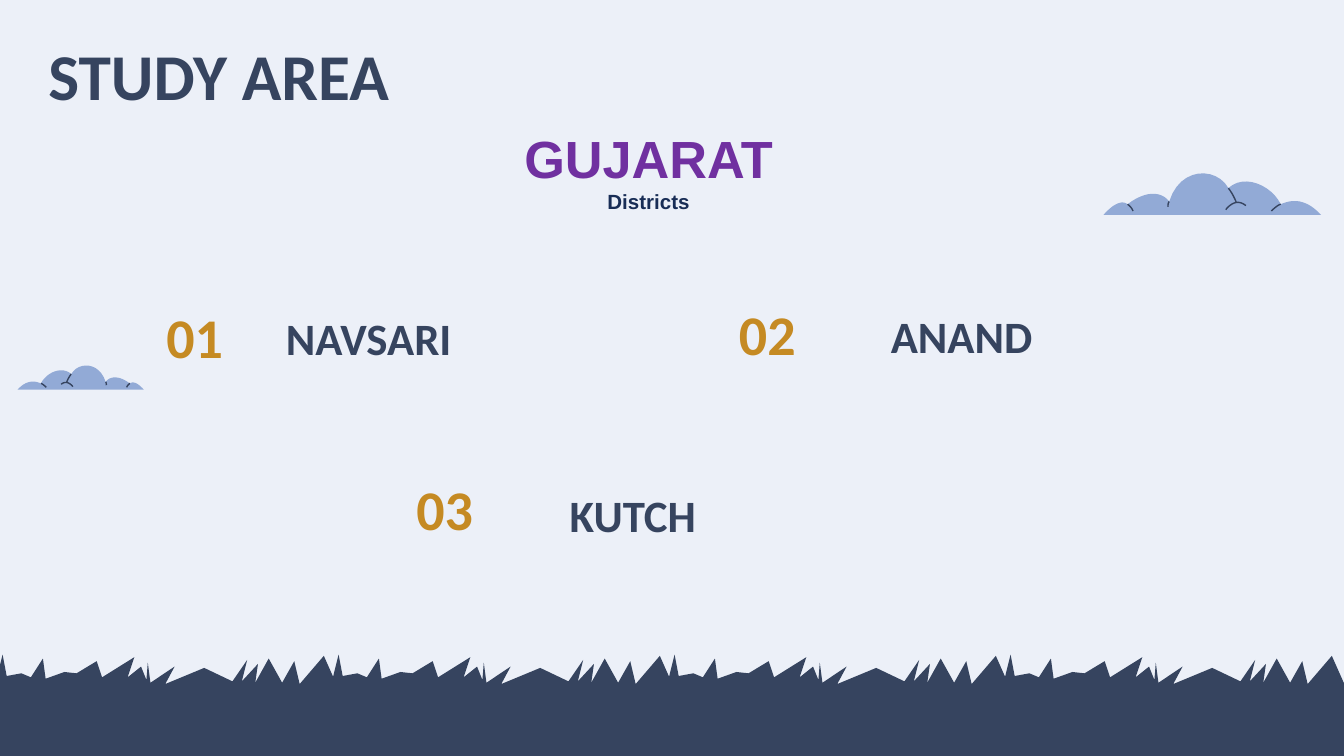
from pptx import Presentation
from pptx.dml.color import RGBColor
from pptx.enum.shapes import MSO_SHAPE
from pptx.enum.text import MSO_ANCHOR, PP_ALIGN
from pptx.util import Inches, Pt

RECTANGLE = MSO_SHAPE.RECTANGLE
TOP, BOTTOM = MSO_ANCHOR.TOP, MSO_ANCHOR.BOTTOM
LEFT, CENTER = PP_ALIGN.LEFT, PP_ALIGN.CENTER

SKY = RGBColor(0xEC, 0xF0, 0xF8)
SLATE = RGBColor(0x36, 0x44, 0x5F)
GOLD = RGBColor(0xC5, 0x8A, 0x23)
CLOUD_BLUE = RGBColor(0x92, 0xAA, 0xD6)
PURPLE = RGBColor(0x70, 0x30, 0xA0)
NAVY = RGBColor(0x18, 0x2D, 0x56)

# One tuft of grass, repeated along the ground
TUFT = [
    (-0.03, 5.07), (0.02, 4.87), (0.05, 5.03), (0.16, 5.01), (0.23, 5.04),
    (0.32, 4.9), (0.34, 5.05), (0.48, 5), (0.57, 5.01), (0.72, 4.92),
    (0.76, 5.04), (1, 4.89), (0.95, 5.04), (1.05, 4.96), (1.09, 5.06),
    (1.1, 4.93), (1.12, 5.08), (1.3, 4.96), (1.23, 5.09), (1.52, 4.97),
    (1.73, 5.07), (1.84, 4.91), (1.8, 5.07), (1.92, 4.94), (1.9, 5.08),
    (2, 4.9), (2.1, 5.08), (2.19, 4.92), (2.23, 5.09), (2.41, 4.88),
    (2.53, 5.15), (-0.03, 5.15),
]
TUFT_STEP = 2.5

# Bezier points, measured from the cloud's corner with y upwards
CLOUD = [
    (0, 0), (0.08, 0.09), (0.14, 0.11), (0.18, 0.08),
    (0.31, 0.18), (0.43, 0.18), (0.49, 0.1),
    (0.57, 0.36), (0.84, 0.36), (0.93, 0.2),
    (1.05, 0.31), (1.25, 0.22), (1.32, 0.08),
    (1.41, 0.12), (1.51, 0.12), (1.62, 0),
]
CREASES = [
    [(0.18, 0.08), (0.18, 0.08), (0.21, 0.06), (0.22, 0.03)],
    [(0.49, 0.1), (0.48, 0.09), (0.48, 0.07), (0.48, 0.06)],
    [(0.93, 0.2), (0.93, 0.2), (0.97, 0.15), (0.99, 0.09)],
    [(0.91, 0.04), (0.96, 0.1), (1.01, 0.11), (1.06, 0.07)],
    [(1.25, 0.03), (1.28, 0.06), (1.31, 0.08), (1.32, 0.08)],
]
CURVE_STEPS = 12


def flatten_curve(points):
    """Return points along a chain of cubic Bezier curves."""
    flat = [points[0]]
    for first in range(0, len(points) - 1, 3):
        a, b, c, d = points[first:first + 4]
        for step in range(1, CURVE_STEPS + 1):
            t = step / CURVE_STEPS
            u = 1 - t
            weights = (u**3, 3 * u * u * t, 3 * u * t * t, t**3)
            flat.append(tuple(
                sum(weight * value for weight, value in zip(weights, values))
                for values in zip(a, b, c, d)
            ))
    return flat


def add_outline(points, closed=True):
    points = [(Inches(x), Inches(y)) for x, y in points]
    builder = slide.shapes.build_freeform(*points[0])
    builder.add_line_segments(points[1:], close=closed)
    outline = builder.convert_to_shape()
    outline.shadow.inherit = False
    return outline


# A 16:9 page
deck = Presentation()
deck.slide_width = Inches(10)
deck.slide_height = deck.slide_width * 9 // 16
slide = deck.slides.add_slide(deck.slide_layouts[5])
slide.background.fill.solid()
slide.background.fill.fore_color.rgb = SKY

# Ground and grass
ground_top = Inches(5.12)
ground = slide.shapes.add_shape(
    RECTANGLE, 0, ground_top, deck.slide_width, deck.slide_height - ground_top)
ground.shadow.inherit = False
tufts = [add_outline([(x + TUFT_STEP * index, y) for x, y in TUFT])
         for index in range(4)]
for shape in [ground] + tufts:
    shape.fill.solid()
    shape.fill.fore_color.rgb = SLATE
    shape.line.fill.background()

# Clouds: corner, baseline, horizontal and vertical scale (the small one is mirrored)
for corner, base, scale_x, scale_y in [(8.21, 1.6, 1, 1), (1.07, 2.9, -0.58, 0.58)]:
    for points in [CLOUD] + CREASES:
        is_cloud = points is CLOUD
        outline = add_outline(
            [(corner + x * scale_x, base - y * scale_y)
             for x, y in flatten_curve(points)], closed=is_cloud)
        if is_cloud:
            outline.fill.solid()
            outline.fill.fore_color.rgb = CLOUD_BLUE
            outline.line.fill.background()
        else:
            outline.fill.background()
            outline.line.color.rgb = SLATE
            outline.line.width = Pt(0.75)

# Title, numbers and districts: text, left, top, width, height, size, colour, line spacing
labels = [("STUDY AREA", 0.26, 0.16, 8.43, 0.7, 35, SLATE, 1)]
for number, number_left, number_top, district, left, top in [
    ("01", 1.14, 2.25, "NAVSARI", 2.03, 2.21),
    ("02", 5.4, 2.23, "ANAND", 6.53, 2.2),
    ("03", 3, 3.53, "KUTCH", 4.14, 3.53),
]:
    labels.append((number, number_left, number_top, 0.8, 0.6, 30, GOLD, 1))
    labels.append((district, left, top, 3.3, 0.6, 24, SLATE, 1.15))

for text, left, top, width, height, size, color, spacing in labels:
    place = [Inches(length) for length in (left, top, width, height)]
    is_title = text == "STUDY AREA"
    if is_title:
        box = slide.shapes.title
        box.left, box.top, box.width, box.height = place
    else:
        box = slide.shapes.add_textbox(*place)
    frame = box.text_frame
    frame.text = text
    frame.word_wrap = True
    frame.vertical_anchor = TOP if is_title else BOTTOM
    frame.margin_left = frame.margin_right = Inches(0.1)
    frame.margin_top = frame.margin_bottom = Inches(0.1)
    para = frame.paragraphs[0]
    para.alignment = LEFT
    para.line_spacing = spacing
    font = para.runs[0].font
    font.name, font.size, font.bold = "Calibri", Pt(size), True
    font.color.rgb = color

# State heading
box = slide.shapes.add_textbox(Inches(2.42), Inches(0.89), Inches(4.81), Inches(0.76))
frame = box.text_frame
frame.word_wrap = True
frame.text = "GUJARAT\nDistricts"
for para, size, color in zip(frame.paragraphs, (28, 11), (PURPLE, NAVY)):
    para.alignment = CENTER
    font = para.runs[0].font
    font.name, font.size, font.bold = "Arial", Pt(size), True
    font.color.rgb = color

deck.save("out.pptx")
